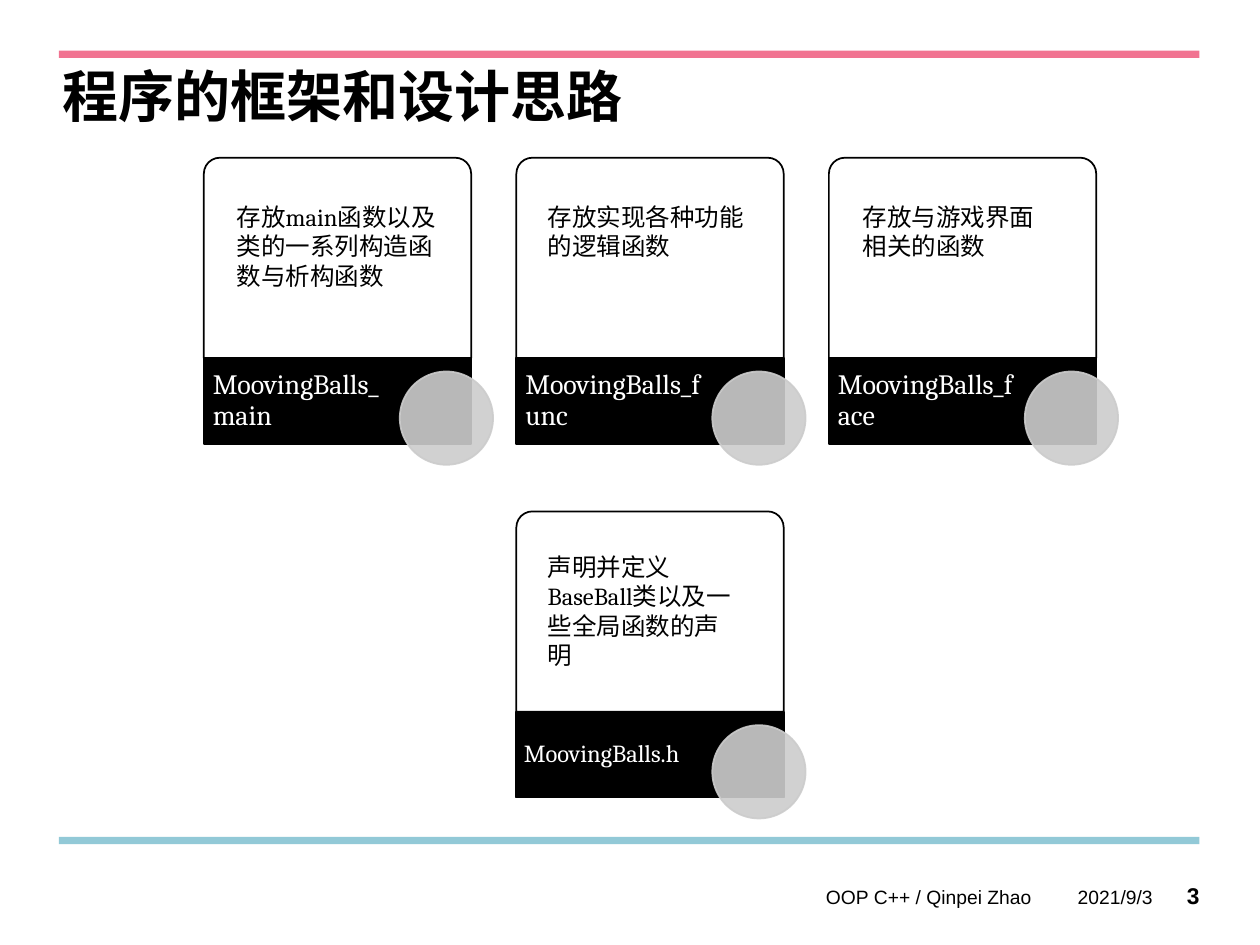
from pptx import Presentation
from pptx.dml.color import RGBColor
from pptx.enum.shapes import MSO_SHAPE
from pptx.enum.text import MSO_ANCHOR, PP_ALIGN
from pptx.oxml.ns import qn
from pptx.util import Cm, Pt
from lxml import etree

COLORS = {"black": "000000", "white": "FFFFFF", "pink": "F17391",
          "blue": "92C9D7", "grey": "CCCCCC"}

# Card grid and proportions, in cm
GRID_LEFT, GRID_TOP, COL_STEP, ROW_STEP = 4.11, 3.18, 6.3, 7.13
CARD_W, BODY_H, LABEL_H, DOT = 5.39, 4.04, 1.73, 1.88

# column, row, file name, name size, name inset, note, note offset x, y, w, h
CARDS = [
    (0, 0, "MoovingBalls_main", 16, 0.18,
     "存放main函数以及类的一系列构造函数与析构函数", 0.41, 0.76, 4.65, 2.06),
    (1, 0, "MoovingBalls_func", 16, 0.18,
     "存放实现各种功能的逻辑函数", 0.38, 0.76, 4.88, 1.45),
    (2, 0, "MoovingBalls_face", 16, 0.18,
     "存放与游戏界面相关的函数", 0.43, 0.76, 4.45, 1.45),
    (1, 1, "MoovingBalls.h", 14, 0.15,
     "声明并定义BaseBall类以及一些全局函数的声明", 0.38, 0.69, 4.45, 2.64),
]


def rgb(name):
    return RGBColor.from_string(COLORS[name])


def set_alpha(fill, percent):
    """Make a solid fill (of a shape or a line) partly transparent."""
    color = fill._xPr.find(qn("a:solidFill"))[0]
    etree.SubElement(color, qn("a:alpha"), val=str(percent * 1000))


def add_box(s, kind, x, y, w, h, fill, line=None, alpha=None):
    sp = s.shapes.add_shape(kind, Cm(x), Cm(y), Cm(w), Cm(h))
    sp.shadow.inherit = False
    sp.fill.solid()
    sp.fill.fore_color.rgb = rgb(fill)
    if alpha:
        set_alpha(sp.fill, alpha)
    if line:
        sp.line.color.rgb = rgb(line)
        sp.line.width = Pt(1)
    else:
        sp.line.fill.background()
    return sp


def add_text(s, text, x, y, w, h, size, font="Cambria", color="black",
             bold=False, align=PP_ALIGN.LEFT, anchor=MSO_ANCHOR.TOP,
             insets=(0.25, 0.13, 0.25, 0.13), spacing=None):
    tf = s.shapes.add_textbox(Cm(x), Cm(y), Cm(w), Cm(h)).text_frame
    tf.word_wrap = True
    tf.vertical_anchor = anchor
    (tf.margin_left, tf.margin_top,
     tf.margin_right, tf.margin_bottom) = map(Cm, insets)
    p = tf.paragraphs[0]
    p.text = text
    p.alignment = align
    p.line_spacing = spacing
    p.font.name, p.font.size, p.font.bold = font, Pt(size), bold
    p.font.color.rgb = rgb(color)


def add_header(s, x, y, w):
    add_box(s, MSO_SHAPE.RECTANGLE, x, y, w, 0.15, "pink")
    add_text(s, "程序的框架和设计思路", x - 0.18, y + 0.25, 22.2, 2.79, 32,
             font="Arial", bold=True, spacing=Pt(34))


def add_footer(s, x, y, w):
    add_box(s, MSO_SHAPE.RECTANGLE, x, y, w, 0.15, "blue")
    # text, offset x, width, size, bold, anchor, top inset
    fields = [
        ("OOP C++ / Qinpei Zhao", 7.29, 12.32, 11, False, MSO_ANCHOR.MIDDLE, 0),
        ("2021/9/3", 19.61, 2.44, 11, False, MSO_ANCHOR.MIDDLE, 0),
        ("3", 22.0, 0.99, 13, True, MSO_ANCHOR.TOP, 0.05),
    ]
    for text, dx, width, size, bold, anchor, top in fields:
        add_text(s, text, x + dx, y + 0.86, width, 0.69, size, font="Arial",
                 bold=bold, align=PP_ALIGN.RIGHT, anchor=anchor,
                 insets=(0, top, 0, 0))


def add_card(s, x, y, name, name_size, name_inset):
    # Body with rounded top corners
    body = add_box(s, MSO_SHAPE.ROUND_2_SAME_RECTANGLE, x, y, CARD_W, BODY_H,
                   "white", "black", 90)
    body.adjustments[0], body.adjustments[1] = 0.08, 0
    # Label band and file name
    band_y = y + BODY_H
    add_box(s, MSO_SHAPE.RECTANGLE, x, band_y, CARD_W, LABEL_H, "black", "black")
    add_text(s, name, x, band_y, 3.81, LABEL_H, name_size, color="white",
             anchor=MSO_ANCHOR.MIDDLE, insets=(name_inset, 0, 0.05, 0), spacing=0.9)
    # Dot over the corner
    dot = add_box(s, MSO_SHAPE.OVAL, x + 3.95, band_y + 0.27, DOT, DOT,
                  "grey", "grey", 90)
    set_alpha(dot.line.fill, 90)


def main():
    prs = Presentation()
    prs.slide_width, prs.slide_height = Cm(25.4), Cm(19.05)
    s = prs.slides.add_slide(prs.slide_layouts[6])

    add_footer(s, 1.19, 16.87, 22.99)
    add_header(s, 1.19, 1.02, 22.99)
    for col, row, name, size, inset, note, dx, dy, w, h in CARDS:
        x, y = GRID_LEFT + col * COL_STEP, GRID_TOP + row * ROW_STEP
        add_card(s, x, y, name, size, inset)
        add_text(s, note, x + dx, y + dy, w, h, 14)

    prs.save("out.pptx")


if __name__ == "__main__":
    main()
